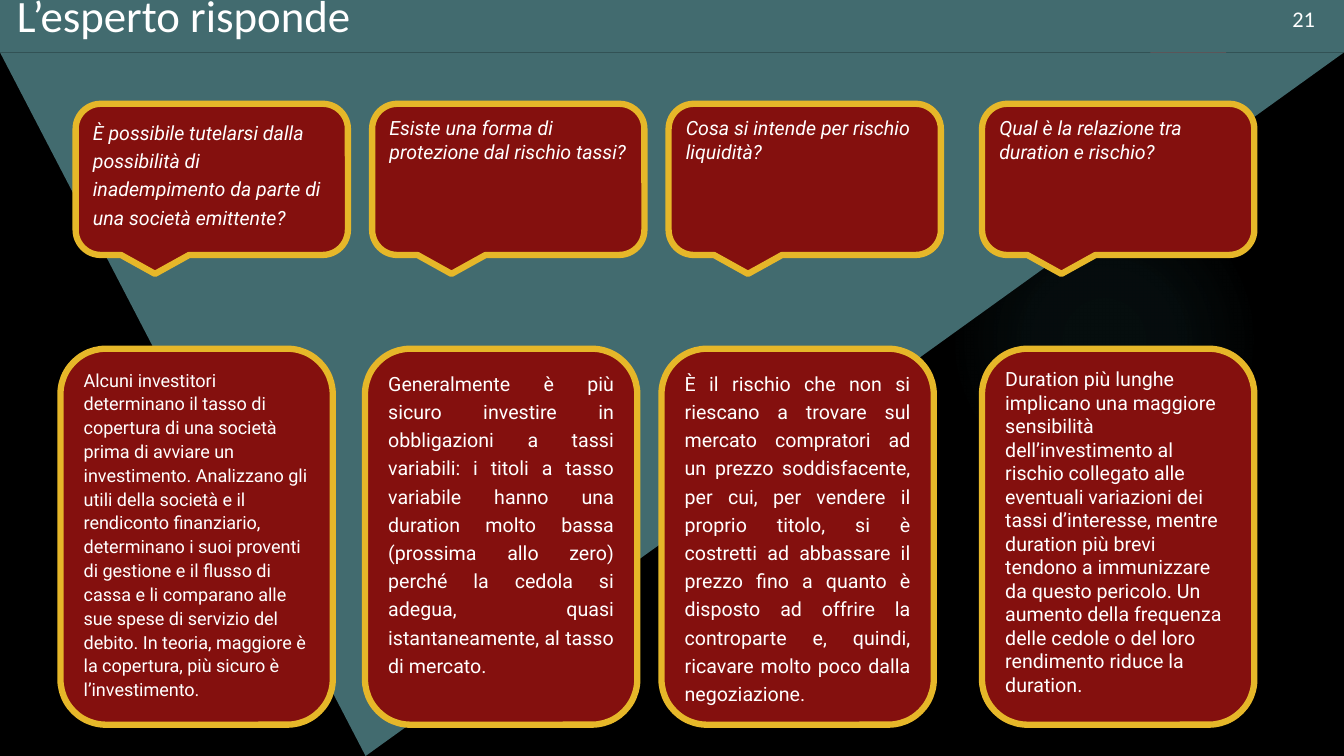
import dataclasses

import lxml.etree
import pptx
import pptx.dml.color
import pptx.enum.shapes
import pptx.enum.text
import pptx.oxml.ns
import pptx.util

SHAPES = pptx.enum.shapes.MSO_SHAPE
JUSTIFY = pptx.enum.text.PP_ALIGN.JUSTIFY
WIDTH, HEIGHT = 13.33, 7.5


@dataclasses.dataclass(frozen=True)
class Theme:
    background: str = "000000"
    teal: str = "426B6F"
    glow: str = "50B9C1"
    tag: str = "B01513"
    box: str = "84100E"
    border: str = "E6B729"
    text: str = "FFFFFF"
    heading_font: str = "Calibri"
    body_font: str = "Roboto"
    title_size: float = 32
    number_size: float = 16
    body_size: float = 14
    dense_size: float = 12.9
    border_width: float = 4.5


THEME = Theme()

# Areas are left, top, width, height in percent of the slide.
HEADER_HEIGHT = 6.93
BOX_WIDTH = 20.26
COLUMN_STEP = 22.06
LAST_COLUMN = 73.07
QUESTION_LEFT, QUESTION_TOP, QUESTION_HEIGHT = 5.63, 13.73, 20
ANSWER_TOP, ANSWER_HEIGHT = 46.13, 49.73
QUESTION_COLUMNS = [QUESTION_LEFT + COLUMN_STEP * i for i in range(3)] + [LAST_COLUMN]
ANSWER_COLUMNS = [4.5, 27.16, 27.16 + COLUMN_STEP, LAST_COLUMN]

# Each question has its line spacing.
QUESTIONS = [
    ("È possibile tutelarsi dalla possibilità di inadempimento da parte di una "
     "società emittente?", 1.2),
    ("Esiste una forma di protezione dal rischio tassi?", None),
    ("Cosa si intende per rischio liquidità?", None),
    ("Qual è la relazione tra duration e rischio?", None),
]

# Each answer has its type size, line spacing and alignment.
ANSWERS = [
    ("Alcuni investitori determinano il tasso di copertura di una società prima di "
     "avviare un investimento. Analizzano gli utili della società e il rendiconto "
     "finanziario, determinano i suoi proventi di gestione e il flusso di cassa e li "
     "comparano alle sue spese di servizio del debito. In teoria, maggiore è la "
     "copertura, più sicuro è l’investimento.", THEME.dense_size, 1.1, None),
    ("Generalmente è più sicuro investire in obbligazioni a tassi variabili: i titoli "
     "a tasso variabile hanno una duration molto bassa (prossima allo zero) perché la "
     "cedola si adegua, quasi istantaneamente, al tasso di mercato.",
     THEME.body_size, 1.2, JUSTIFY),
    ("È il rischio che non si riescano a trovare sul mercato compratori ad un prezzo "
     "soddisfacente, per cui, per vendere il proprio titolo, si è costretti ad "
     "abbassare il prezzo fino a quanto è disposto ad offrire la controparte e, "
     "quindi, ricavare molto poco dalla negoziazione.", THEME.body_size, 1.2, JUSTIFY),
    ("Duration più lunghe implicano una maggiore sensibilità dell’investimento al "
     "rischio collegato alle eventuali variazioni dei tassi d’interesse, mentre "
     "duration più brevi tendono a immunizzare da questo pericolo. Un aumento della "
     "frequenza delle cedole o del loro rendimento riduce la duration.",
     THEME.body_size, None, None),
]


def color(value):
    return pptx.dml.color.RGBColor.from_string(value)


def place(area):
    """Turn percentages of the slide into lengths."""
    sides = (WIDTH, HEIGHT, WIDTH, HEIGHT)
    return [pptx.util.Inches(side * share / 100) for side, share in zip(sides, area)]


def add_plain_shape(slide, kind, area, fill):
    shape = slide.shapes.add_shape(kind, *place(area))
    shape.shadow.inherit = False
    shape.fill.solid()
    shape.fill.fore_color.rgb = color(fill)
    shape.line.fill.background()
    return shape


def write(shape, text, font, size, italic=False, spacing=None, alignment=None):
    frame = shape.text_frame
    frame.word_wrap = True
    frame.vertical_anchor = pptx.enum.text.MSO_ANCHOR.TOP
    frame.text = text
    paragraph = frame.paragraphs[0]
    paragraph.alignment = alignment or pptx.enum.text.PP_ALIGN.LEFT
    paragraph.line_spacing = spacing
    run_font = paragraph.runs[0].font
    run_font.name = font
    run_font.size = pptx.util.Pt(size)
    run_font.italic = italic
    run_font.color.rgb = color(THEME.text)


def add_label(slide, area, text, size):
    label = slide.shapes.add_textbox(*place(area))
    write(label, text, THEME.heading_font, size)


def add_box(slide, kind, area, text, size, **style):
    box = add_plain_shape(slide, kind, area, THEME.box)
    box.line.color.rgb = color(THEME.border)
    box.line.width = pptx.util.Pt(THEME.border_width)
    write(box, text, THEME.body_font, size, **style)


def add_glow(slide, area):
    """Add an ellipse whose faint colour fades out from its centre."""
    ellipse = add_plain_shape(slide, SHAPES.OVAL, area, THEME.glow)
    name = pptx.oxml.ns.qn
    properties = ellipse.fill._xPr
    solid = properties.find(name("a:solidFill"))
    gradient = lxml.etree.Element(name("a:gradFill"), rotWithShape="1")
    stops = lxml.etree.SubElement(gradient, name("a:gsLst"))
    for position, opacity in ((0, 7), (36, 6), (69, 0)):
        stop = lxml.etree.SubElement(stops, name("a:gs"), pos=str(position * 1000))
        tint = lxml.etree.SubElement(stop, name("a:srgbClr"), val=THEME.glow)
        lxml.etree.SubElement(tint, name("a:alpha"), val=str(opacity * 1000))
    circle = lxml.etree.SubElement(gradient, name("a:path"), attrib={"path": "circle"})
    lxml.etree.SubElement(circle, name("a:fillToRect"),
                          l="50000", t="50000", r="50000", b="50000")
    properties.replace(solid, gradient)


def add_backdrop(slide):
    slide.background.fill.solid()
    slide.background.fill.fore_color.rgb = color(THEME.background)
    add_glow(slide, (70.59, 24.4, 23.11, 41.07))
    add_plain_shape(slide, SHAPES.RECTANGLE, (85.6, 0, 5.63, 16.67), THEME.tag)
    triangle = add_plain_shape(slide, SHAPES.ISOSCELES_TRIANGLE,
                               (0, HEADER_HEIGHT, 100, 100 - HEADER_HEIGHT), THEME.teal)
    triangle.rotation = 180
    triangle.adjustments[0] = 0.728
    add_plain_shape(slide, SHAPES.RECTANGLE, (0, 0, 100, HEADER_HEIGHT), THEME.teal)


def main():
    presentation = pptx.Presentation()
    presentation.slide_width = pptx.util.Inches(WIDTH)
    presentation.slide_height = pptx.util.Inches(HEIGHT)
    slide = presentation.slides.add_slide(presentation.slide_layouts[6])

    add_backdrop(slide)
    add_label(slide, (95.42, 0, 4.13, 4.93), "21", THEME.number_size)
    add_label(slide, (0.53, -2.27, 94.3, 4.93), "L’esperto risponde", THEME.title_size)
    for left, (text, spacing) in zip(QUESTION_COLUMNS, QUESTIONS):
        add_box(slide, SHAPES.ROUNDED_RECTANGULAR_CALLOUT,
                (left, QUESTION_TOP, BOX_WIDTH, QUESTION_HEIGHT), text,
                THEME.body_size, italic=True, spacing=spacing)
    for left, (text, size, spacing, alignment) in zip(ANSWER_COLUMNS, ANSWERS):
        add_box(slide, SHAPES.ROUNDED_RECTANGLE,
                (left, ANSWER_TOP, BOX_WIDTH, ANSWER_HEIGHT), text,
                size, spacing=spacing, alignment=alignment)

    presentation.save("out.pptx")


if __name__ == "__main__":
    main()
